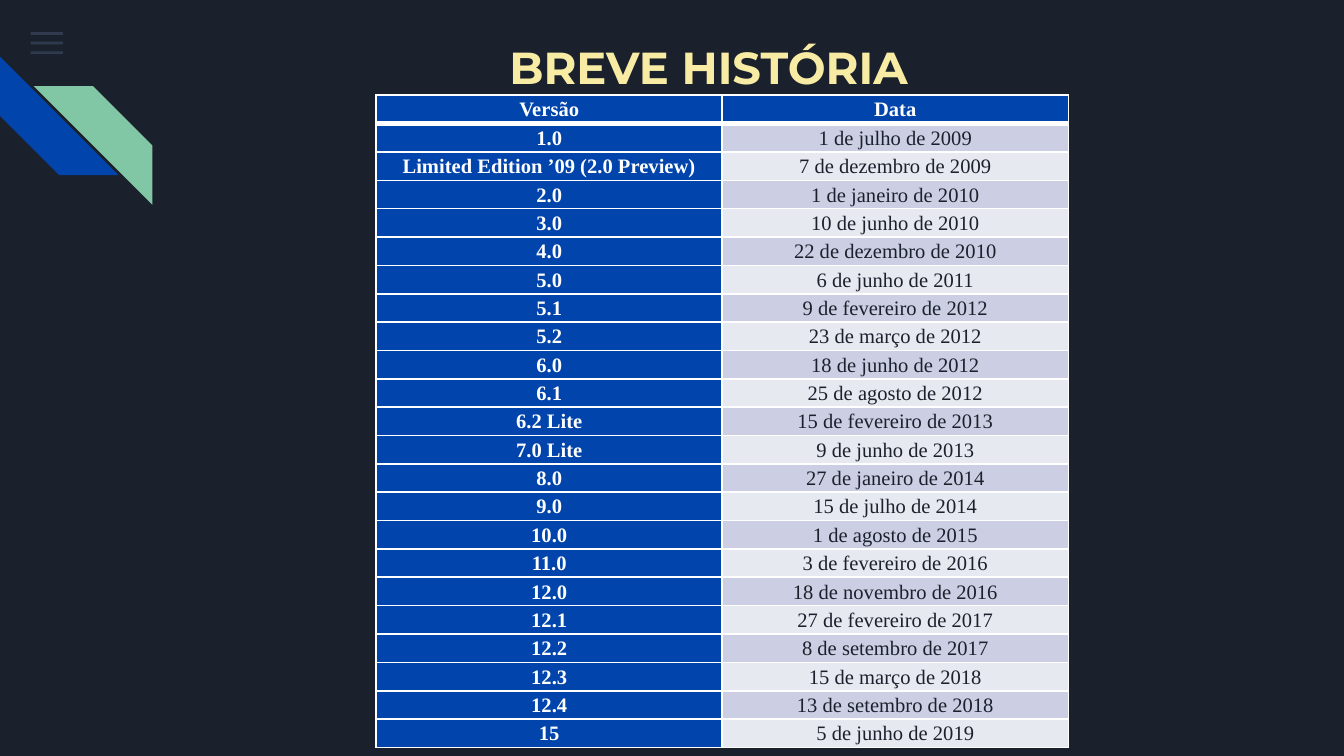
from dataclasses import dataclass

from lxml import etree
from pptx import Presentation
from pptx import util as u
from pptx.dml.color import RGBColor
from pptx.enum import shapes, text
from pptx.oxml import ns


@dataclass(frozen=True)
class Theme:
    background: str = "1B212C"
    blue: str = "0145AC"
    green: str = "82C7A5"
    menu: str = "55688B"
    title: str = "F8EBA3"
    outline: str = "57A2EA"
    white: str = "FFFFFF"
    bands: tuple[str, str] = ("CCCFE3", "E7E9F1")
    title_font: str = "Montserrat"
    table_font: str = "Times New Roman"
    title_size: float = 24
    table_size: float = 11
    outline_width: float = 1.75
    border: float = 1
    header_border: float = 3


@dataclass(frozen=True)
class Block:
    kind: shapes.MSO_SHAPE
    left: float
    top: float
    width: float
    height: float
    color: str
    rotation: float = 0
    flip: bool = False
    alpha: int = 100


@dataclass(frozen=True)
class Release:
    version: str
    date: str


T = Theme()
BAR = shapes.MSO_SHAPE.RECTANGLE
STRIPE = shapes.MSO_SHAPE.DIAGONAL_STRIPE

BLOCKS = [Block(BAR, 0.58, 0.61 + 0.18 * i, 0.61, 0.05, T.menu, alpha=36) for i in range(3)] + [
    Block(STRIPE, 0, 1.07, 2.24, 2.24, T.blue, rotation=270),
    Block(STRIPE, 0.64, 1.63, 2.24, 2.24, T.green, flip=True),
]

HEADER = Release("Versão", "Data")
RELEASES = [
    Release("1.0", "1 de julho de 2009"),
    Release("Limited Edition ’09 (2.0 Preview)", "7 de dezembro de 2009"),
    Release("2.0", "1 de janeiro de 2010"),
    Release("3.0", "10 de junho de 2010"),
    Release("4.0", "22 de dezembro de 2010"),
    Release("5.0", "6 de junho de 2011"),
    Release("5.1", "9 de fevereiro de 2012"),
    Release("5.2", "23 de março de 2012"),
    Release("6.0", "18 de junho de 2012"),
    Release("6.1", "25 de agosto de 2012"),
    Release("6.2 Lite", "15 de fevereiro de 2013"),
    Release("7.0 Lite", "9 de junho de 2013"),
    Release("8.0", "27 de janeiro de 2014"),
    Release("9.0", "15 de julho de 2014"),
    Release("10.0", "1 de agosto de 2015"),
    Release("11.0", "3 de fevereiro de 2016"),
    Release("12.0", "18 de novembro de 2016"),
    Release("12.1", "27 de fevereiro de 2017"),
    Release("12.2", "8 de setembro de 2017"),
    Release("12.3", "15 de março de 2018"),
    Release("12.4", "13 de setembro de 2018"),
    Release("15", "5 de junho de 2019"),
]


def add_line(parent, tag: str, width: float, color: str):
    ln = etree.SubElement(parent, ns.qn(tag), w=str(int(u.Pt(width))))
    fill = etree.SubElement(ln, ns.qn("a:solidFill"))
    etree.SubElement(fill, ns.qn("a:srgbClr"), val=color)
    return ln


def add_run(p, words: str, font: str, size: float, color: str, bold: bool):
    p.alignment = text.PP_ALIGN.CENTER
    r = p.add_run()
    r.text = words
    r.font.name = font
    r.font.size = u.Pt(size)
    r.font.bold = bold
    r.font.color.rgb = RGBColor.from_string(color)
    return r


def draw_block(s, block: Block) -> None:
    box = (u.Cm(v) for v in (block.left, block.top, block.width, block.height))
    sp = s.shapes.add_shape(block.kind, *box)
    sp.shadow.inherit = False
    sp.fill.solid()
    sp.fill.fore_color.rgb = RGBColor.from_string(block.color)
    sp.line.fill.background()
    sp.rotation = block.rotation
    if block.flip:
        sp.element.spPr.find(ns.qn("a:xfrm")).set("flipH", "1")
    if block.alpha < 100:
        clr = sp.element.spPr.find(ns.qn("a:solidFill"))[0]
        etree.SubElement(clr, ns.qn("a:alpha"), val=str(block.alpha * 1000))


def draw_title(s, words: str) -> None:
    sp = s.shapes.add_textbox(u.Cm(3.61), u.Cm(0.51), u.Cm(19.56), u.Cm(1.35))
    tf = sp.text_frame
    tf.word_wrap = True
    tf.vertical_anchor = text.MSO_ANCHOR.TOP
    tf.margin_left = tf.margin_right = tf.margin_top = tf.margin_bottom = u.Cm(0.25)
    r = add_run(tf.paragraphs[0], words, T.title_font, T.title_size, T.title, True)
    r.font._element.insert(0, add_line(r.font._element, "a:ln", T.outline_width, T.outline))


def draw_cell(cell, words: str, fill: str, color: str, bold: bool, top: float, bottom: float) -> None:
    cell.margin_left = cell.margin_right = u.Cm(0.13)
    cell.margin_top = cell.margin_bottom = 0
    borders = {"a:lnL": T.border, "a:lnR": T.border, "a:lnT": top, "a:lnB": bottom}
    for tag, width in borders.items():
        add_line(cell._tc.get_or_add_tcPr(), tag, width, T.white)
    cell.fill.solid()
    cell.fill.fore_color.rgb = RGBColor.from_string(fill)
    p = cell.text_frame.paragraphs[0]
    p.line_spacing = 1.15
    add_run(p, words, T.table_font, T.table_size, color, bold)


def draw_table(s, releases: list[Release]) -> None:
    rows = [HEADER] + releases
    frame = s.shapes.add_table(len(rows), 2, u.Cm(7.11), u.Cm(1.8), u.Cm(13.08), u.Cm(12.06))
    table = frame.table
    for i, release in enumerate(rows):
        top = T.header_border if i == 1 else T.border
        bottom = T.header_border if i == 0 else T.border
        draw_cell(table.cell(i, 0), release.version, T.blue, T.white, True, top, bottom)
        if i == 0:
            fill, color = T.blue, T.white
        else:
            fill, color = T.bands[(i - 1) % 2], T.background
        draw_cell(table.cell(i, 1), release.date, fill, color, i == 0, top, bottom)


def main() -> None:
    prs = Presentation()
    prs.slide_width, prs.slide_height = u.Cm(25.4), u.Cm(14.29)
    s = prs.slides.add_slide(prs.slide_layouts[6])
    s.background.fill.solid()
    s.background.fill.fore_color.rgb = RGBColor.from_string(T.background)
    for block in BLOCKS:
        draw_block(s, block)
    draw_title(s, "BREVE HISTÓRIA")
    draw_table(s, RELEASES)
    prs.save("out.pptx")


if __name__ == "__main__":
    main()
